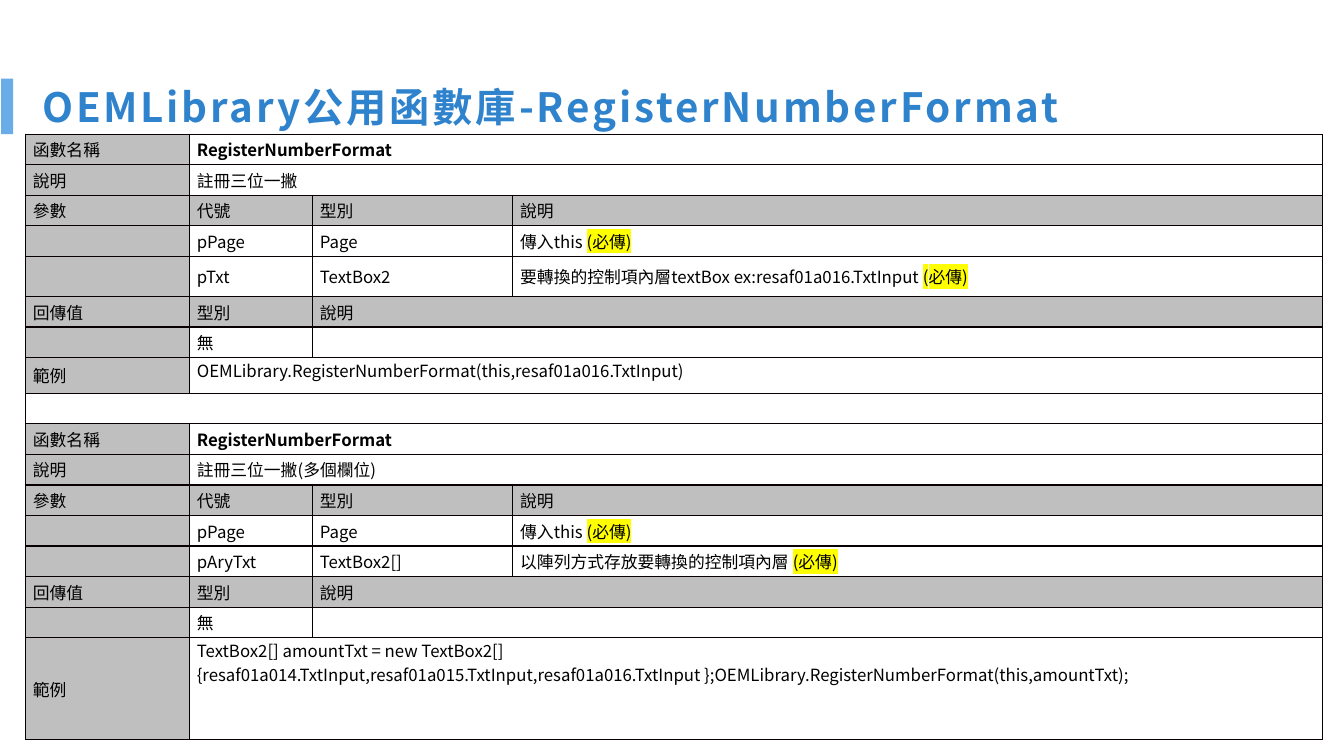
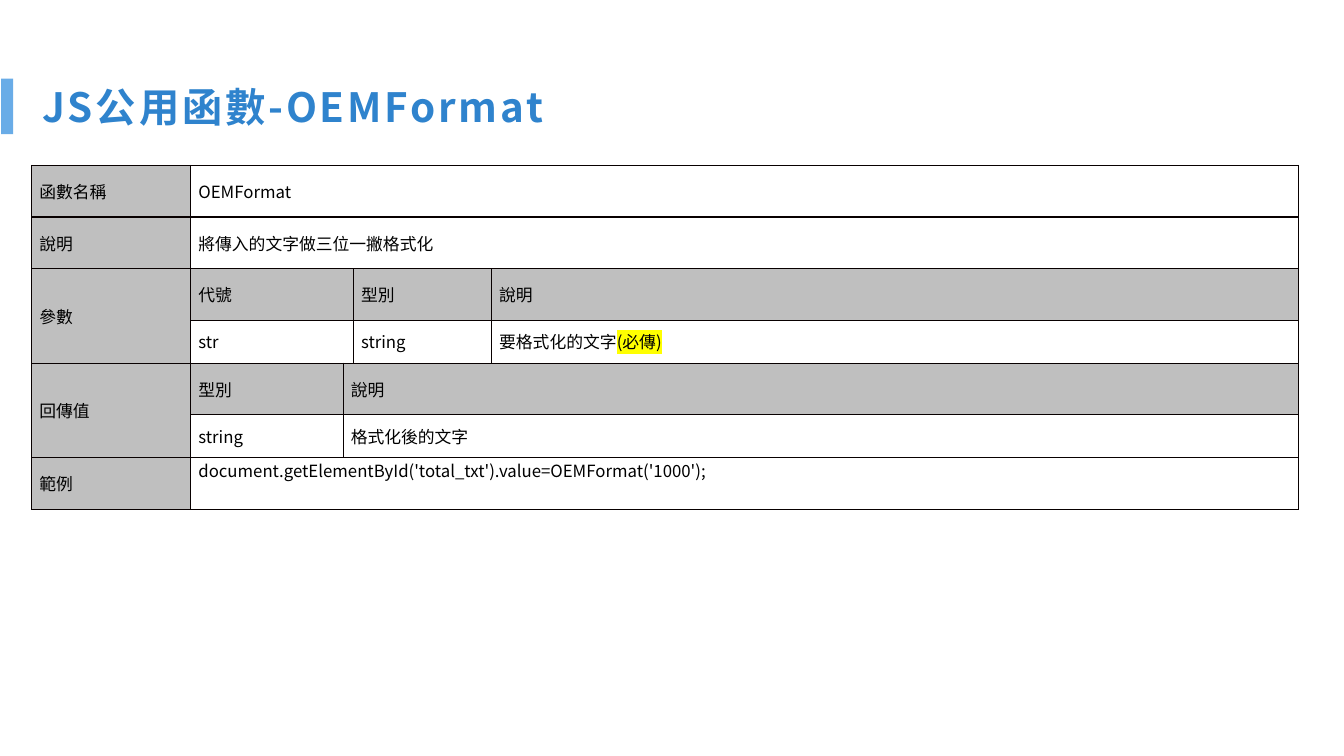
from dataclasses import dataclass

from lxml.etree import SubElement
from pptx import Presentation
from pptx.dml.color import RGBColor
from pptx.enum.shapes import MSO_SHAPE
from pptx.enum.text import MSO_ANCHOR, PP_ALIGN
from pptx.oxml import parse_xml
from pptx.oxml.ns import nsdecls, qn
from pptx.slide import Slide, SlideLayout
from pptx.table import Table, _Cell
from pptx.text.text import TextFrame
from pptx.util import Cm, Pt

FONT = "Noto Sans CJK SC"
BLUE, SKY = "2F83CD", "69ACE7"
GREY, WHITE, BLACK, EDGE, MARK = "BFBFBF", "FFFFFF", "000000", "080000", "FFFF00"
NEED = "(必傳)"
SAMPLE = "範例"
TOP, TALL = 1.98, 1.4


@dataclass(frozen=True)
class Row:
    """One table row; a text of None joins its cell to the one above."""
    high: float
    texts: tuple[str | None, ...]
    starts: tuple[int, ...] = (0, 1)
    head: bool = False
    bold: bool = False


@dataclass(frozen=True)
class Page:
    title: str
    wide: float
    left: float
    top: float
    cols: tuple[float, ...]
    rows: tuple[Row, ...]


def tint(code: str) -> RGBColor:
    return RGBColor.from_string(code)


def write(frame: TextFrame, text: str, *, size: float = 12, color: str = BLACK,
          bold: bool = False, space: int = 0) -> None:
    """Write one left-aligned paragraph, with the NEED mark highlighted."""
    para = frame.paragraphs[0]
    para.alignment = PP_ALIGN.LEFT
    if not text:
        SubElement(para._p, qn("a:endParaRPr"), sz=str(int(size * 100)))
        return
    plain, mark, _ = text.partition(NEED)
    for part in filter(None, (plain, mark)):
        run = para.add_run()
        run.text = part
        font = run.font
        font.size, font.bold = Pt(size), bold
        font.color.rgb = tint(color)
        props = run._r.get_or_add_rPr()
        if space:
            props.set("spc", str(space))
        if part == NEED:
            light = SubElement(props, qn("a:highlight"))
            SubElement(light, qn("a:srgbClr"), val=MARK)
        font.name = FONT
        SubElement(props, qn("a:ea"), typeface=FONT)


def paint(cell: _Cell, color: str) -> None:
    """Fill a cell, border it and set its margins."""
    cell.fill.solid()
    cell.fill.fore_color.rgb = tint(color)
    cell.margin_left = cell.margin_right = Cm(0.19)
    cell.margin_top = cell.margin_bottom = 0
    props = cell._tc.get_or_add_tcPr()
    for place, side in enumerate("LRTB"):
        props.insert(place, parse_xml(
            f'<a:ln{side} {nsdecls("a")} w="12700"><a:solidFill>'
            f'<a:srgbClr val="{EDGE}"/></a:solidFill></a:ln{side}>'))


def fill_row(table: Table, index: int, row: Row) -> None:
    table.rows[index].height = Cm(row.high)
    ends = (*row.starts[1:], len(table.columns))
    for text, start, end in zip(row.texts, row.starts, ends):
        label = start == 0 and len(row.starts) > 1
        for col in range(start, end):
            paint(table.cell(index, col), GREY if label or row.head else WHITE)
        cell = table.cell(index, start)
        if text is None:
            table.cell(index - 1, start).merge(cell)
            continue
        if end - start > 1:
            cell.merge(table.cell(index, end - 1))
        code = row.texts[0] == SAMPLE and not label
        cell.vertical_anchor = MSO_ANCHOR.TOP if code else MSO_ANCHOR.MIDDLE
        write(cell.text_frame, text, bold=row.bold and not label)


def add_grid(slide: Slide, page: Page) -> None:
    high = sum(row.high for row in page.rows)
    frame = slide.shapes.add_table(
        len(page.rows), len(page.cols), Cm(page.left), Cm(page.top),
        Cm(sum(page.cols)), Cm(high))
    table = frame.table
    table.first_row = table.horz_banding = False
    for column, wide in zip(table.columns, page.cols):
        column.width = Cm(wide)
    for index, row in enumerate(page.rows):
        fill_row(table, index, row)


def add_band(slide: Slide, layout: SlideLayout) -> None:
    """Draw the side band and move it to the layout, for all slides."""
    band = slide.shapes.add_shape(
        MSO_SHAPE.RECTANGLE, Cm(0.03), Cm(TOP), Cm(0.3), Cm(TALL))
    band.shadow.inherit = False
    band.fill.solid()
    band.fill.fore_color.rgb = tint(SKY)
    band.line.fill.background()
    layout.shapes.element.append(band.element)


def add_title(slide: Slide, page: Page) -> None:
    title = slide.shapes.title
    title.left, title.top = Cm(0.81), Cm(TOP)
    title.width, title.height = Cm(page.wide), Cm(TALL)
    title.text_frame.vertical_anchor = MSO_ANCHOR.MIDDLE
    write(title.text_frame, page.title, size=28.8, color=BLUE, bold=True, space=200)


LINE = 0.77
TRIO, QUAD = (0, 1, 2), (0, 1, 2, 3)


def block(note: str, name: str, kind: str, hint: str, code: str,
          hint_high: float, code_high: float) -> tuple[Row, ...]:
    """Describe one RegisterNumberFormat overload."""
    return (
        Row(LINE, ("函數名稱", "RegisterNumberFormat"), bold=True),
        Row(LINE, ("說明", note)),
        Row(LINE, ("參數", "代號", "型別", "說明"), QUAD, head=True),
        Row(LINE, ("", "pPage", "Page", f"傳入this {NEED}"), QUAD),
        Row(hint_high, ("", name, kind, f"{hint} {NEED}"), QUAD),
        Row(LINE, ("回傳值", "型別", "說明"), TRIO, head=True),
        Row(LINE, ("", "無", ""), TRIO),
        Row(code_high, (SAMPLE, code)),
    )


SINGLE = block(
    "註冊三位一撇", "pTxt", "TextBox2",
    "要轉換的控制項內層textBox ex:resaf01a016.TxtInput",
    "OEMLibrary.RegisterNumberFormat(this,resaf01a016.TxtInput)", 1.01, 0.9)
MANY = block(
    "註冊三位一撇(多個欄位)", "pAryTxt", "TextBox2[]",
    "以陣列方式存放要轉換的控制項內層",
    "TextBox2[] amountTxt = new TextBox2[] "
    "{resaf01a014.TxtInput,resaf01a015.TxtInput,resaf01a016.TxtInput };"
    "OEMLibrary.RegisterNumberFormat(this,amountTxt);", LINE, 2.57)

STEP, SLIM = 1.3, 1.08
WIDE = (0, 1, 3, 4)
FORMAT = (
    Row(STEP, ("函數名稱", "OEMFormat")),
    Row(STEP, ("說明", "將傳入的文字做三位一撇格式化")),
    Row(STEP, ("參數", "代號", "型別", "說明"), WIDE, head=True),
    Row(SLIM, (None, "str", "string", f"要格式化的文字{NEED}"), WIDE),
    Row(STEP, ("回傳值", "型別", "說明"), TRIO, head=True),
    Row(SLIM, (None, "string", "格式化後的文字"), TRIO),
    Row(STEP, (SAMPLE, "document.getElementById('total_txt').value=OEMFormat('1000');")),
)

PAGES = (
    Page("OEMLibrary公用函數庫-RegisterNumberFormat", 32.03, 0.64, 3.38,
         (4.13, 3.1, 5.05, 20.41), (*SINGLE, Row(LINE, ("",), (0,)), *MANY)),
    Page("JS公用函數-OEMFormat", 29.21, 0.8, 4.17,
         (4.01, 3.84, 0.26, 3.48, 20.34), FORMAT),
)


def main() -> None:
    deck = Presentation()
    deck.slide_width, deck.slide_height = Cm(33.87), Cm(19.05)
    layout = deck.slide_layouts.get_by_name("Title Only")
    for index, page in enumerate(PAGES):
        slide = deck.slides.add_slide(layout)
        if index == 0:
            add_band(slide, layout)
        add_title(slide, page)
        add_grid(slide, page)
    deck.save("out.pptx")


if __name__ == "__main__":
    main()
